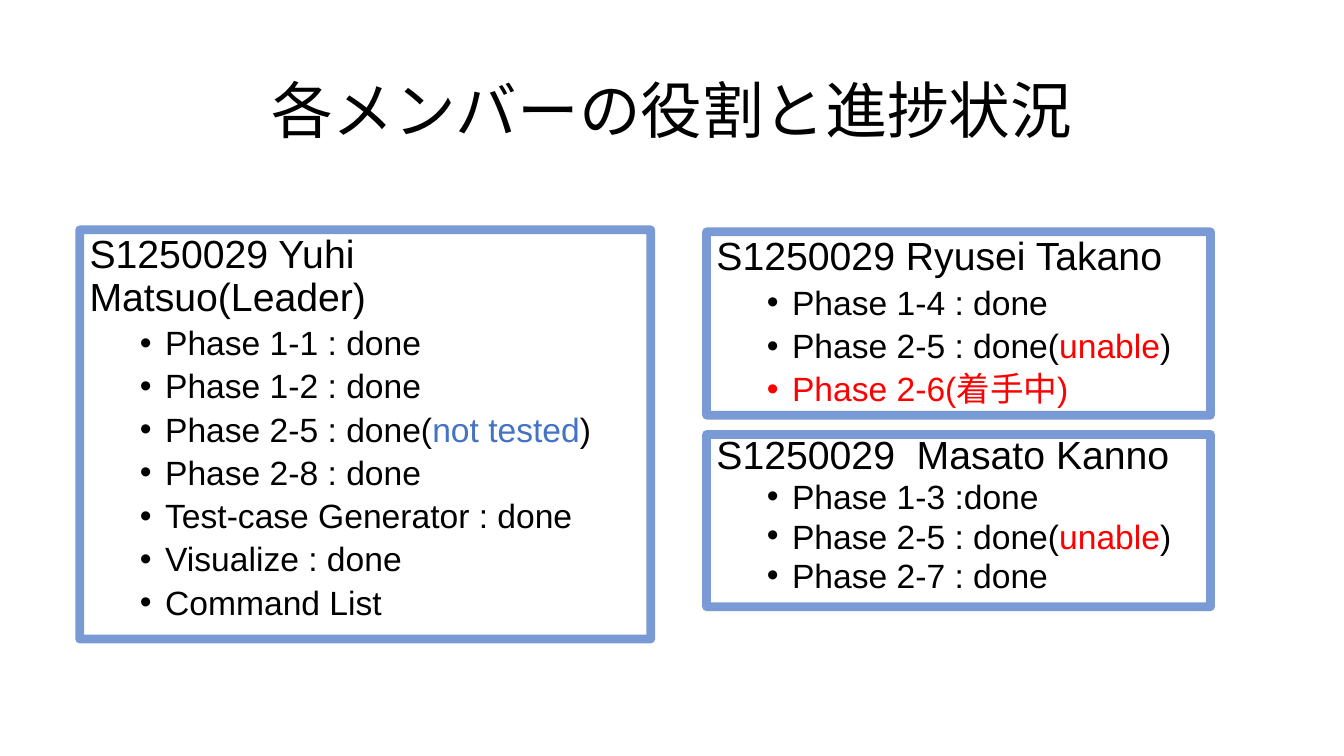
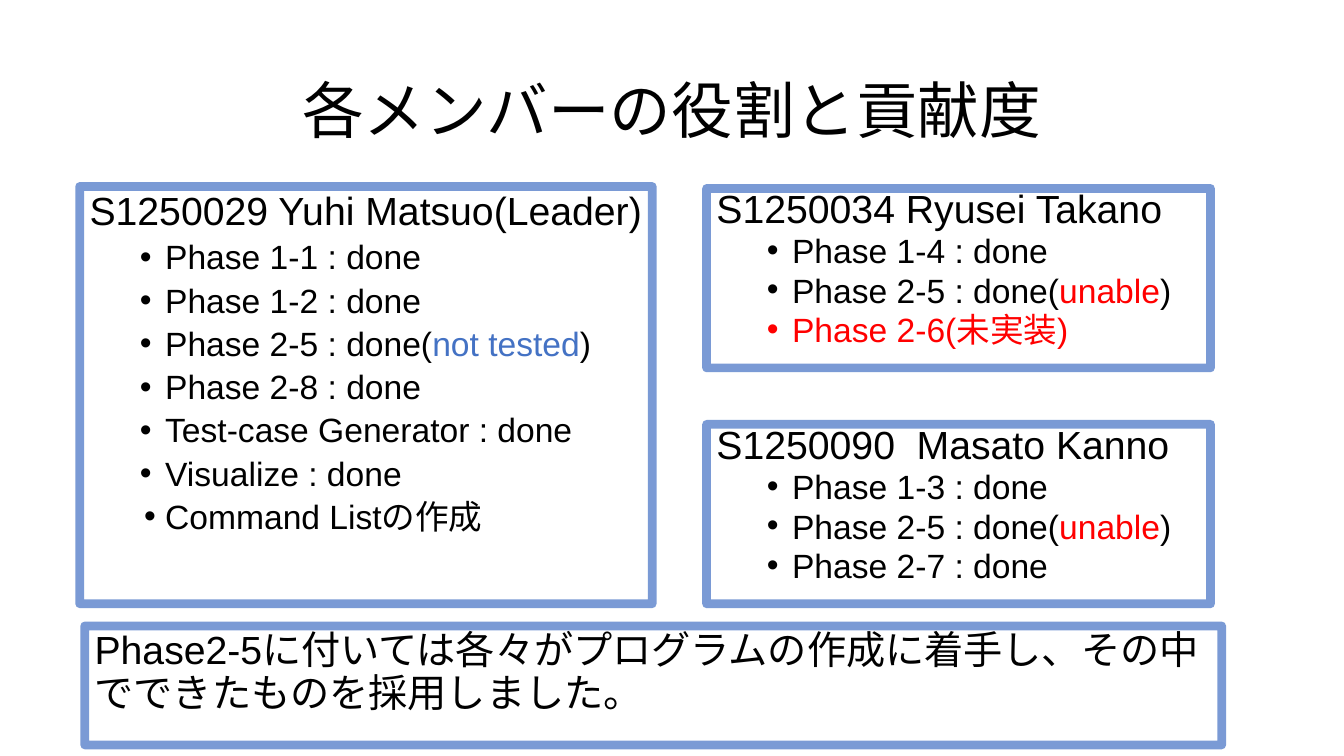
import pptx
import pptx.dml.color
import pptx.enum.shapes
import pptx.enum.text
import pptx.oxml
import pptx.oxml.ns
import pptx.util

Pt = pptx.util.Pt
FONT = "Arial"
BLACK, BLUE, RED = "000000", "4472C4", "FF0000"
LEFT_X, RIGHT_X, RIGHT_W = 56.9, 504.7, 360
LEADER = "S1250029 Yuhi Matsuo(Leader)"
LEADER_TASKS = [
    [("Phase 1-1 : done", BLACK)],
    [("Phase 1-2 : done", BLACK)],
    [("Phase 2-5 : done(", BLACK), ("not tested", BLUE), (")", BLACK)],
    [("Phase 2-8 : done", BLACK)],
    [("Test-case Generator : done", BLACK)],
    [("Visualize : done", BLACK)],
]
SHARED_TASK = [("Phase 2-5 : done(", BLACK), ("unable", RED), (")", BLACK)]


def rgb(value):
    return pptx.dml.color.RGBColor.from_string(value)


def add_xml(parent, tag, **attrs):
    el = pptx.oxml.parse_xml(f'<a:{tag} {pptx.oxml.ns.nsdecls("a")}/>')
    for name, value in attrs.items():
        el.set(name, value)
    parent.append(el)
    return el


def add_run(p, text, size, color):
    r = p.add_run()
    r.text = text
    r.font.name = FONT
    r.font.size = Pt(size)
    r.font.color.rgb = rgb(color)


def add_slide(prs, title):
    s = prs.slides.add_slide(prs.slide_layouts[5])
    sp = s.shapes.title
    sp.left, sp.top, sp.width, sp.height = Pt(66), Pt(28.8), Pt(828), Pt(104.4)
    tf = sp.text_frame
    tf.auto_size = pptx.enum.text.MSO_AUTO_SIZE.NONE
    tf.vertical_anchor = pptx.enum.text.MSO_ANCHOR.MIDDLE
    p = tf.paragraphs[0]
    p.alignment = pptx.enum.text.PP_ALIGN.CENTER
    p.line_spacing = 0.9
    add_run(p, title, 44, BLACK)
    return s


def add_panel(s, x, y, w, h, heading, spacing=0.9):
    sp = s.shapes.add_shape(pptx.enum.shapes.MSO_SHAPE.RECTANGLE,
                            Pt(x), Pt(y), Pt(w), Pt(h))
    sp.shadow.inherit = False
    sp.fill.background()
    sp.line.width = Pt(6.25)
    sp.line.color.rgb = rgb(BLUE)
    ln = sp.line._get_or_add_ln()
    add_xml(ln.find(".//" + pptx.oxml.ns.qn("a:srgbClr")), "alpha", val="71000")
    add_xml(ln, "round")
    tf = sp.text_frame
    tf.word_wrap = True
    tf.vertical_anchor = pptx.enum.text.MSO_ANCHOR.TOP
    p = tf.paragraphs[0]
    p.alignment = pptx.enum.text.PP_ALIGN.LEFT
    p.line_spacing = spacing
    add_run(p, heading, 28, BLACK)
    return tf


def add_bullet(tf, parts, spacing=0.9, hang=18):
    p = tf.add_paragraph()
    p.level = 1
    p.alignment = pptx.enum.text.PP_ALIGN.LEFT
    p.line_spacing = spacing
    p.space_before = Pt(5)
    pPr = p._p.get_or_add_pPr()
    pPr.set("marL", str(Pt(54)))
    pPr.set("indent", str(-Pt(hang)))
    add_xml(add_xml(pPr, "buClr"), "srgbClr", val=parts[0][1])
    add_xml(pPr, "buFont", typeface=FONT)
    add_xml(pPr, "buChar", char="•")
    for text, color in parts:
        add_run(p, text, 24, color)


def add_leader(s, y, w, h, last_task, last_hang=18):
    tf = add_panel(s, LEFT_X, y, w, h, LEADER)
    for task in LEADER_TASKS:
        add_bullet(tf, task)
    add_bullet(tf, [(last_task, BLACK)], hang=last_hang)


def add_member(s, y, h, name, first, last, last_color=BLACK, spacing=0.8):
    tf = add_panel(s, RIGHT_X, y, RIGHT_W, h, name, spacing)
    for task in ([(first, BLACK)], SHARED_TASK, [(last, last_color)]):
        add_bullet(tf, task, spacing)


def main():
    prs = pptx.Presentation()
    prs.slide_width, prs.slide_height = Pt(960), Pt(540)

    s = add_slide(prs, "各メンバーの役割と進捗状況")
    add_leader(s, 164.2, 408, 292.3, "Command List")
    add_member(s, 165.6, 131, "S1250029 Ryusei Takano",
               "Phase 1-4 : done", "Phase 2-6(着手中)", RED, 0.9)
    add_member(s, 310.3, 123.1, "S1250029  Masato Kanno",
               "Phase 1-3 :done", "Phase 2-7 : done")

    s = add_slide(prs, "各メンバーの役割と貢献度")
    add_leader(s, 133.2, 409, 298.1, "Command Listの作成", 15)
    add_member(s, 134.6, 128.2, "S1250034 Ryusei Takano",
               "Phase 1-4 : done", "Phase 2-6(未実装)", RED)
    add_member(s, 303.1, 128.2, "S1250090  Masato Kanno",
               "Phase 1-3 : done", "Phase 2-7 : done")
    add_panel(s, 60.5, 447.1, 812.2, 85,
              "Phase2-5に付いては各々がプログラムの作成に着手し、その中でできたものを採用しました。")

    prs.save("out.pptx")


if __name__ == "__main__":
    main()
